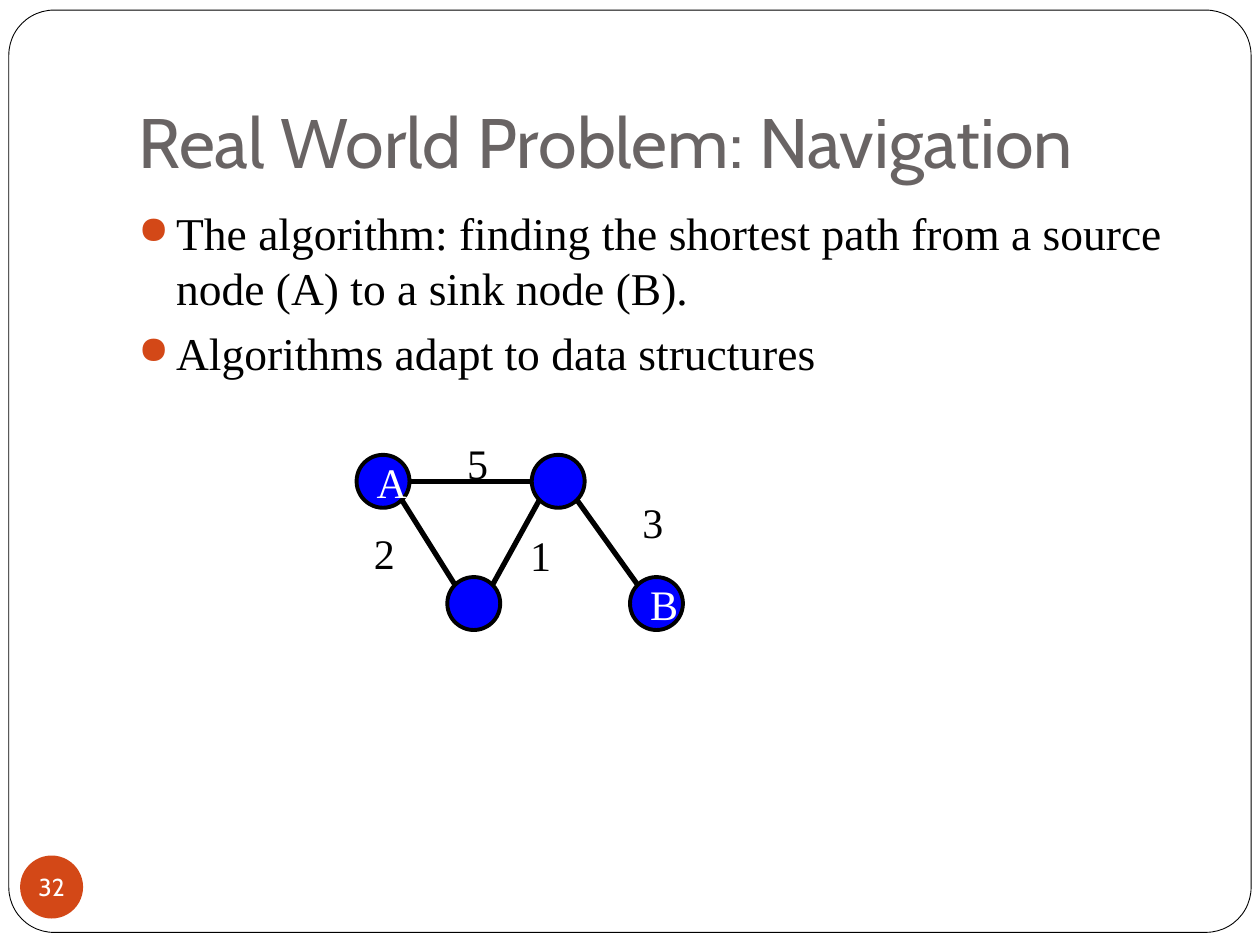
from lxml import etree
from pptx import Presentation
from pptx.dml.color import RGBColor
from pptx.enum.shapes import MSO_CONNECTOR, MSO_SHAPE
from pptx.enum.text import MSO_ANCHOR, PP_ALIGN
from pptx.oxml.ns import qn
from pptx.util import Inches, Pt

ROUND, OVAL = MSO_SHAPE.ROUNDED_RECTANGLE, MSO_SHAPE.OVAL
LINE = MSO_CONNECTOR.STRAIGHT
TOP, MIDDLE, BOTTOM = MSO_ANCHOR.TOP, MSO_ANCHOR.MIDDLE, MSO_ANCHOR.BOTTOM
LEFT, CENTER = PP_ALIGN.LEFT, PP_ALIGN.CENTER
WHITE = RGBColor(0xFF, 0xFF, 0xFF)
BLACK = RGBColor(0, 0, 0)
GRAY = RGBColor(0x69, 0x64, 0x64)
RUST = RGBColor(0xD3, 0x48, 0x17)
BLUE = RGBColor(0, 0, 0xFF)
SANS, SERIF = "Cabin", "Times New Roman"
SIZE = 0.42
NODES = [(0, 0.19, "A"), (1.39, 0.19, ""), (0.72, 1.16, ""), (2.17, 1.16, "B")]
EDGES = [(0, 1), (0, 2), (1, 2), (1, 3)]
COSTS = [(0.78, 0, "5"), (0.04, 0.72, "2"), (1.28, 0.73, "1"), (2.17, 0.47, "3")]


def apply(item, style):
    """Set each attribute named in a style."""
    for name, value in style.items():
        setattr(item, name, value)


def write(shape, lines, font, size, color, align=LEFT, **frame):
    """Fill a shape with styled paragraphs and return them."""
    text = shape.text_frame
    apply(text, {"word_wrap": True, "vertical_anchor": TOP, **frame})
    text.text = "\n".join(lines)
    for para in text.paragraphs:
        para.alignment = align
        for run in para.runs:
            apply(run.font, {"name": font, "size": Pt(size)})
            run.font.color.rgb = color
    return text.paragraphs


def draw(slide, kind, box, fill, width=0):
    """Add a flat preset shape, outlined in black if a width is given."""
    shape = slide.shapes.add_shape(kind, *map(Inches, box))
    shape.shadow.inherit = False
    shape.fill.solid()
    shape.fill.fore_color.rgb = fill
    if width:
        shape.line.color.rgb = BLACK
        shape.line.width = Pt(width)
    else:
        shape.line.fill.background()
    return shape


def add_box(slide, box):
    """Add a text box."""
    return slide.shapes.add_textbox(*map(Inches, box))


def add_frame(slide, box):
    """Draw the rounded page border."""
    draw(slide, ROUND, box, WHITE, 0.5).adjustments[0] = 0.049


def add_title(slide, box):
    """Place the heading."""
    write(add_box(slide, box), ["Real World Problem: Navigation"], SANS, 40, GRAY,
          vertical_anchor=BOTTOM, margin_bottom=Inches(0.1))


def add_badge(slide, box):
    """Place the slide number in a disc."""
    sides = ("left", "right", "top", "bottom")
    write(draw(slide, OVAL, box, RUST), ["32"], SANS, 14, WHITE, CENTER,
          vertical_anchor=MIDDLE, word_wrap=False,
          **{f"margin_{side}": 0 for side in sides})


def add_list(slide, box):
    """Place the bulleted statements."""
    lines = ["The algorithm: finding the shortest path from a source node (A) "
             "to a sink node (B).", "Algorithms adapt to data structures"]
    for para in write(add_box(slide, box), lines, SERIF, 26, BLACK):
        para.space_before = Pt(5.8)
        props = para._p.get_or_add_pPr()
        props.set("marL", str(Inches(0.3)))
        props.set("indent", str(-Inches(0.3)))
        tint = etree.SubElement(props, qn("a:buClr"))
        etree.SubElement(tint, qn("a:srgbClr"), val=str(RUST))
        etree.SubElement(props, qn("a:buSzPct"), val="85000")
        etree.SubElement(props, qn("a:buChar"), char="●")


def add_edge(slide, start, end):
    """Join two node centres from rim to rim."""
    (x1, y1), (x2, y2) = start, end
    way = 1 if x2 > x1 else -1
    flat = y1 == y2
    dx = way * (SIZE / 2 if flat else 0.15)
    dy = 0 if flat else 0.15
    ends = (x1 + dx, y1 + dy, x2 - dx, y2 - dy)
    edge = slide.shapes.add_connector(LINE, *map(Inches, ends))
    edge.line.color.rgb = BLACK
    edge.line.width = Pt(3)
    etree.SubElement(edge._element.spPr, qn("a:effectLst"))


def add_graph(slide, left, top):
    """Draw the weighted graph from its top left corner."""
    spots = [(left + x + SIZE / 2, top + y + SIZE / 2) for x, y, _ in NODES]
    for x, y, name in NODES:
        node = draw(slide, OVAL, (left + x, top + y, SIZE, SIZE), BLUE, 2.25)
        if name:
            write(node, [name], SERIF, 24, WHITE, CENTER, vertical_anchor=MIDDLE)
    for start, end in EDGES:
        add_edge(slide, spots[start], spots[end])
    for x, y, cost in COSTS:
        label = add_box(slide, (left + x, top + y, 0.36, 0.5))
        write(label, [cost], SERIF, 24, BLACK, word_wrap=False)


def main():
    """Build and save the slide."""
    deck = Presentation()
    apply(deck, {"slide_width": Inches(10), "slide_height": Inches(7.5)})
    slide = deck.slides.add_slide(deck.slide_layouts[6])
    add_frame(slide, (0.07, 0.08, 9.86, 7.32))
    add_title(slide, (1, 0.3, 8.5, 1.25))
    add_badge(slide, (0.16, 6.79, 0.5, 0.5))
    add_list(slide, (1, 1.58, 8.5, 5))
    add_graph(slide, 2.83, 3.42)
    deck.save("out.pptx")


if __name__ == "__main__":
    main()
